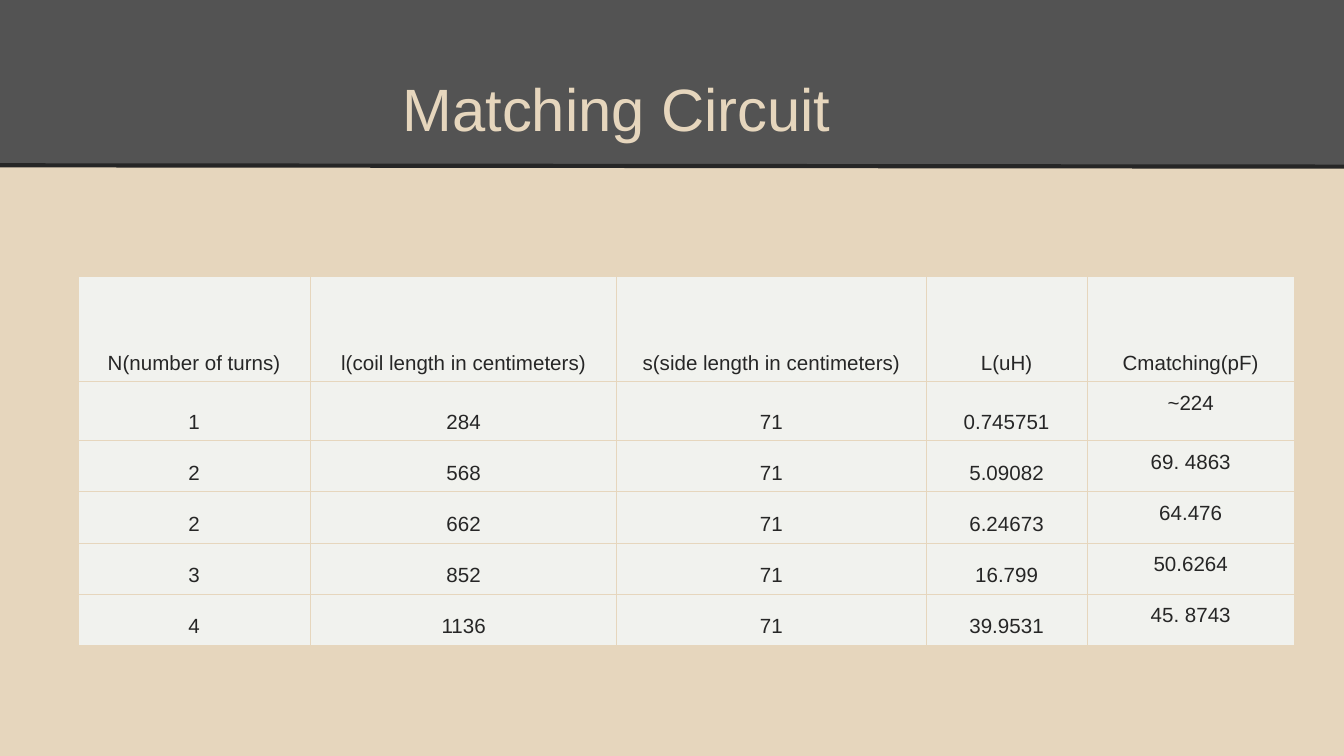
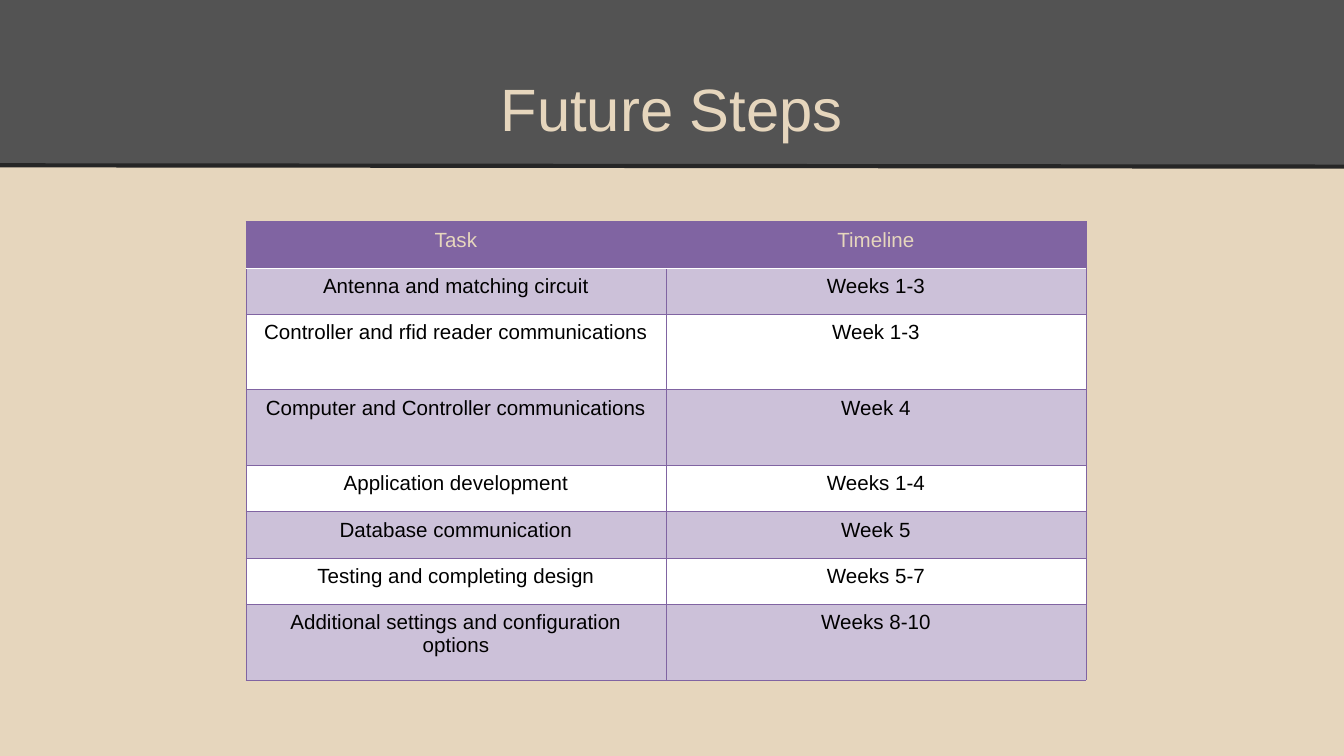
"""Build two slides: the matching circuit values and the future steps."""
from dataclasses import dataclass
from itertools import accumulate

from lxml import etree
from pptx import Presentation, util as u
from pptx.dml.color import RGBColor
from pptx.enum import shapes, text
from pptx.oxml import ns


@dataclass(frozen=True)
class Theme:
    """Colours, font and sizes shared by the slides."""
    sand: str = "E6D6BD"
    band: str = "535353"
    ink: str = "262626"
    paper: str = "F1F2EE"
    purple: str = "8064A2"
    lilac: str = "CCC1D9"
    white: str = "FFFFFF"
    black: str = "000000"
    font: str = "Arial"
    title_size: int = 32
    cell_size: int = 11
    rule_width: float = 2.25
    border_width: float = 0.45
    header_rule_width: float = 0.23


THEME = Theme()
WIDTH = u.Inches(10)
HEIGHT = WIDTH * 9 // 16
BAND_HEIGHT = u.Inches(1.23)

COIL_COLUMNS = (1.73, 2.28, 2.3, 1.2, 1.54)
COIL_ROWS = (0.78, 0.44, 0.38, 0.38, 0.38, 0.38)
COILS = (
    ("N(number of turns)", "l(coil length in centimeters)",
     "s(side length in centimeters)", "L(uH)", "Cmatching(pF)"),
    ("1", "284", "71", "0.745751", "~224"),
    ("2", "568", "71", "5.09082", "69. 4863"),
    ("2", "662", "71", "6.24673", "64.476"),
    ("3", "852", "71", "16.799", "50.6264"),
    ("4", "1136", "71", "39.9531", "45. 8743"),
)

STEP_ROWS = (14, 14, 23, 23, 14, 14, 14, 23)
STEPS = (
    ("Task", "Timeline"),
    ("Antenna and matching circuit", "Weeks 1-3"),
    ("Controller and rfid reader communications", "Week 1-3"),
    ("Computer and Controller communications", "Week 4"),
    ("Application development", "Weeks 1-4"),
    ("Database communication", "Week 5"),
    ("Testing and completing design", "Weeks 5-7"),
    ("Additional settings and configuration options", "Weeks 8-10"),
)


def rgb(value):
    """Turn a hex string into a colour."""
    return RGBColor.from_string(value)


def format_paragraph(paragraph, size, colour):
    """Centre a paragraph and set its font."""
    paragraph.alignment = text.PP_ALIGN.CENTER
    paragraph.font.name = THEME.font
    paragraph.font.size = u.Pt(size)
    paragraph.font.color.rgb = rgb(colour)


def add_band(slide):
    """Draw the dark title band and the rule beneath it."""
    band = slide.shapes.add_shape(
        shapes.MSO_SHAPE.RECTANGLE, 0, 0, WIDTH, BAND_HEIGHT)
    band.shadow.inherit = False
    band.fill.solid()
    band.fill.fore_color.rgb = rgb(THEME.band)
    band.line.fill.background()
    rule = slide.shapes.add_connector(
        shapes.MSO_CONNECTOR.STRAIGHT, 0, BAND_HEIGHT,
        WIDTH, BAND_HEIGHT + u.Inches(0.01))
    rule.line.color.rgb = rgb(THEME.ink)
    rule.line.width = u.Pt(THEME.rule_width)
    etree.SubElement(rule._element.spPr, ns.qn("a:effectLst"))


def add_titled_slide(deck, heading, right_inset=0.1):
    """Add a slide with the band and its heading on top."""
    slide = deck.slides.add_slide(deck.slide_layouts[5])
    add_band(slide)
    title = slide.shapes.title
    slide.shapes._spTree.append(title._element)
    title.left, title.top = int(WIDTH * 0.05), u.Inches(0.23)
    title.width, title.height = int(WIDTH * 0.9), u.Inches(0.94)
    frame = title.text_frame
    frame.text = heading
    frame.auto_size = text.MSO_AUTO_SIZE.NONE
    frame.vertical_anchor = text.MSO_ANCHOR.BOTTOM
    frame.margin_left = frame.margin_top = frame.margin_bottom = u.Inches(0.1)
    frame.margin_right = u.Inches(right_inset)
    format_paragraph(frame.paragraphs[0], THEME.title_size, THEME.sand)
    return slide


def shares(total, weights):
    """Split a length in proportion to the weights."""
    edges = [round(total * part / sum(weights)) for part in accumulate(weights, initial=0)]
    return [end - start for start, end in zip(edges, edges[1:])]


def add_grid(slide, records, box, columns, rows):
    """Add a plain table whose columns and rows follow the weights."""
    left, top, width, height = (u.Inches(length) for length in box)
    table = slide.shapes.add_table(
        len(records), len(columns), left, top, width, height).table
    table.first_row = table.horz_banding = False
    for column, length in zip(table.columns, shares(width, columns)):
        column.width = length
    for row, length in zip(table.rows, shares(height, rows)):
        row.height = length
    return table


def set_border(cell, side, colour, width):
    """Draw one side (L, R, T or B) of a cell."""
    line = etree.SubElement(
        cell._tc.get_or_add_tcPr(), ns.qn(f"a:ln{side}"), w=str(u.Pt(width)))
    fill = etree.SubElement(line, ns.qn("a:solidFill"))
    etree.SubElement(fill, ns.qn("a:srgbClr"), val=colour)


def fill_cell(cell, words, fill, colour, border, inset, anchor=text.MSO_ANCHOR.TOP,
              spacing=None, white_side=None):
    """Write a cell and set its borders, fill, insets and font."""
    for side in "LRTB":
        if side == white_side:
            set_border(cell, side, THEME.white, THEME.header_rule_width)
        else:
            set_border(cell, side, border, THEME.border_width)
    cell.fill.solid()
    cell.fill.fore_color.rgb = rgb(fill)
    cell.margin_left = cell.margin_right = u.Inches(inset)
    cell.margin_top = cell.margin_bottom = u.Inches(0.05)
    cell.vertical_anchor = anchor
    cell.text = words
    paragraph = cell.text_frame.paragraphs[0]
    format_paragraph(paragraph, THEME.cell_size, colour)
    paragraph.line_spacing = spacing


def add_coil_table(slide):
    """Add the coil values, with the measured capacitances set at the top."""
    table = add_grid(slide, COILS, (0.58, 2.06, 9.05, 2.74), COIL_COLUMNS, COIL_ROWS)
    capacitance = len(COIL_COLUMNS) - 1
    for r, record in enumerate(COILS):
        for c, words in enumerate(record):
            raised = r > 0 and c == capacitance
            anchor = text.MSO_ANCHOR.TOP if raised else text.MSO_ANCHOR.BOTTOM
            fill_cell(table.cell(r, c), words, THEME.paper, THEME.ink, THEME.sand,
                      0.08, anchor, 1.15)


def add_step_table(slide):
    """Add the banded plan of tasks and weeks."""
    table = add_grid(slide, STEPS, (1.83, 1.65, 6.25, 3.41), (1, 1), STEP_ROWS)
    for r, record in enumerate(STEPS):
        fill = (THEME.lilac if r % 2 else THEME.white) if r else THEME.purple
        colour = THEME.black if r else THEME.sand
        for c, words in enumerate(record):
            fill_cell(table.cell(r, c), words, fill, colour, THEME.purple, 0.1,
                      white_side={0: "B", 1: "T"}.get(r))


def main():
    """Build and save the deck."""
    deck = Presentation()
    deck.slide_width, deck.slide_height = WIDTH, HEIGHT
    backdrop = deck.slide_master.background.fill
    backdrop.solid()
    backdrop.fore_color.rgb = rgb(THEME.sand)
    add_coil_table(add_titled_slide(deck, "Matching Circuit", right_inset=0.92))
    add_step_table(add_titled_slide(deck, "Future Steps"))
    deck.save("out.pptx")


if __name__ == "__main__":
    main()
